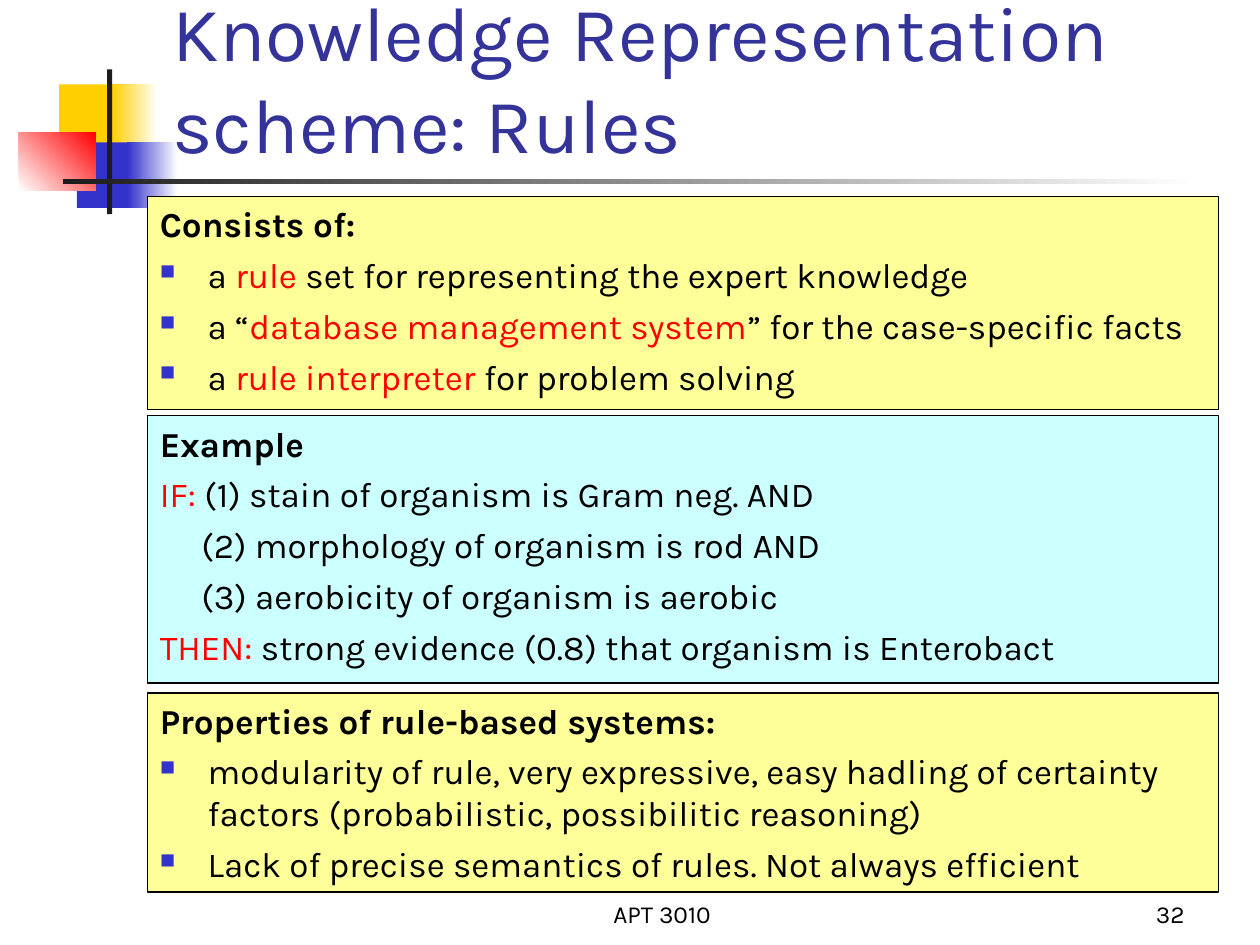
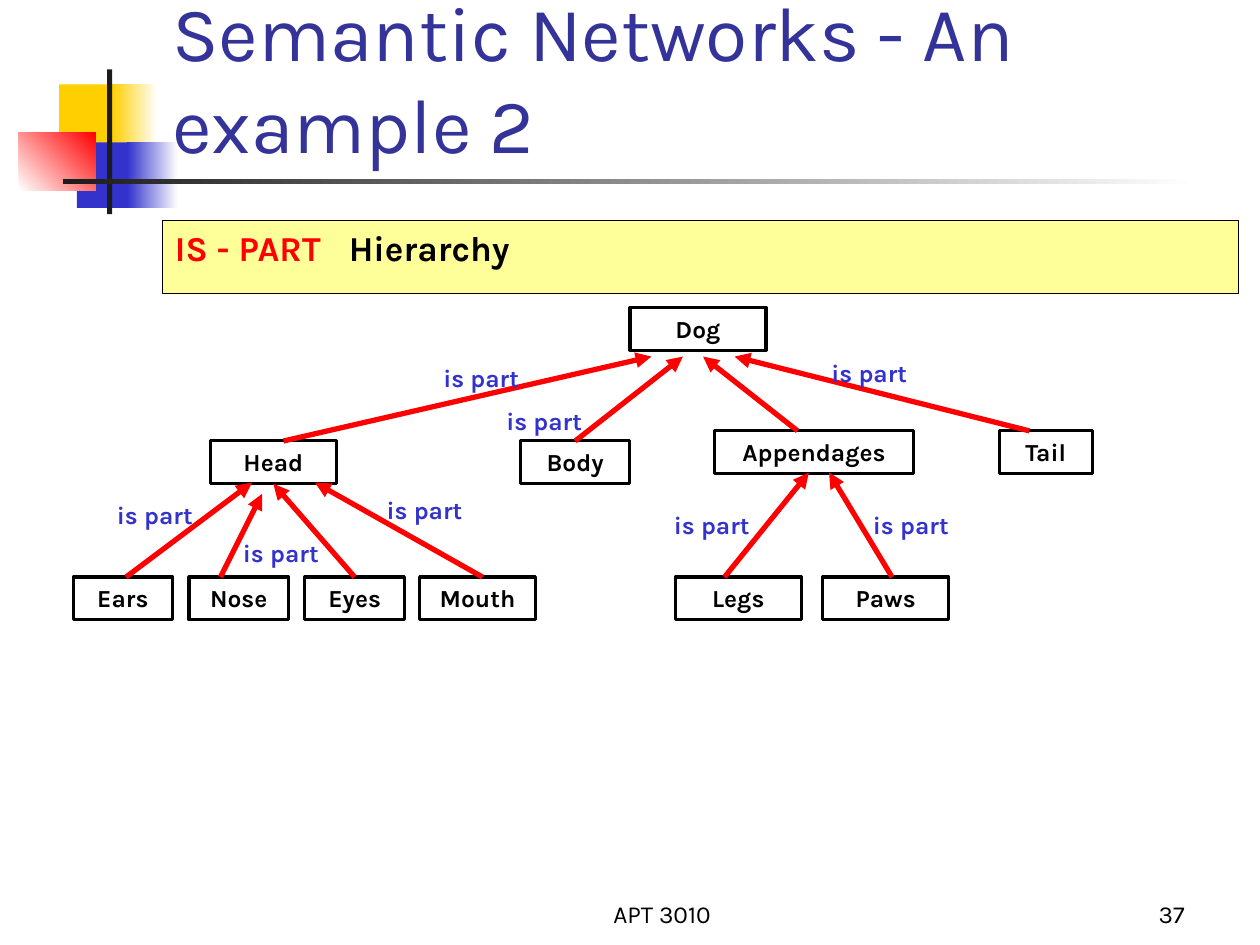
import lxml.etree
import pptx
import pptx.dml.color
import pptx.enum.shapes
import pptx.enum.text
import pptx.oxml.ns
import pptx.util

PX = 9144
FONT = "Karla"
COLORS = {
    "gold": "FFCF01",
    "blue": "3333CC",
    "red": "FF0000",
    "white": "FFFFFF",
    "ink": "1C1C1C",
    "black": "000000",
    "title": "333399",
    "yellow": "FFFF99",
    "cyan": "CCFFFF",
}
ALIGN = pptx.enum.text.PP_ALIGN
ANCHOR = pptx.enum.text.MSO_ANCHOR
RECTANGLE = pptx.enum.shapes.MSO_SHAPE.RECTANGLE
STRAIGHT = pptx.enum.shapes.MSO_CONNECTOR.STRAIGHT
TOP, BOTTOM = 0, 2

DECORATION = [
    ((47, 67, 48, 52), ["gold"], 0),
    ((89, 67, 36, 52), ["gold", "white"], 0),
    ((61, 113, 46, 52), ["blue"], 0),
    ((101, 113, 40, 52), ["blue", "white"], 0),
    ((15, 105, 61, 46), ["white", "red"], 45),
    ((85, 55, 4, 115), ["ink"], 0),
    ((50, 142, 900, 4), ["ink", "white"], 0),
]

RULE_PANELS = [
    (156, 169, "yellow", "Consists of:", [
        ("bullet", [("a ", "black"), ("rule", "red"),
                    (" set for representing the expert knowledge", "black")]),
        ("bullet", [("a “", "black"), ("database management system", "red"),
                    ("” for the case-specific facts", "black")]),
        ("bullet", [("a ", "black"), ("rule interpreter", "red"),
                    (" for problem solving", "black")]),
    ]),
    (330, 212, "cyan", "Example", [
        ("plain", [("IF:", "red"), (" (1) stain of organism is Gram neg. AND", "black")]),
        ("condition", [("(2) morphology of organism is rod AND", "black")]),
        ("condition", [("(3) aerobicity of organism is aerobic", "black")]),
        ("plain", [("THEN:", "red"),
                   (" strong evidence (0.8) that organism is Enterobact", "black")]),
    ]),
    (550, 158, "yellow", "Properties of rule-based systems:", [
        ("bullet", [("modularity of rule, very expressive, easy hadling of certainty "
                     "factors (probabilistic, possibilitic reasoning)", "black")]),
        ("bullet", [("Lack of precise semantics of rules. Not always efficient", "black")]),
    ]),
]

PARTS = {
    "Dog": (442, 0, 108),
    "Head": (109, 106, 100),
    "Body": (355, 106, 87),
    "Appendages": (509, 98, 158),
    "Tail": (735, 98, 74),
    "Ears": (0, 214, 79),
    "Nose": (92, 214, 79),
    "Eyes": (184, 214, 79),
    "Mouth": (275, 214, 92),
    "Legs": (478, 214, 100),
    "Paws": (595, 214, 100),
}
PART_HEIGHT = 34
PART_ARROWS = [
    ((42, 214), (142, 139)),
    ((117, 214), (150, 148)),
    ("Eyes", "Head"),
    ((325, 214), (192, 139)),
    ((167, 106), (459, 39)),
    ("Body", (484, 39)),
    ((575, 98), (500, 39)),
    ((759, 98), (525, 39)),
    ((517, 214), (584, 131)),
    ((650, 214), (600, 131)),
]
RELATION_SPOTS = [(284, 39), (592, 35), (25, 148), (125, 178),
                  (239, 144), (334, 73), (625, 156), (467, 156)]


def rgb(color):
    return pptx.dml.color.RGBColor.from_string(COLORS[color])


def emu(box):
    return [length * PX for length in box]


def add_rectangle(slide, box, fill=None, outline=None):
    rectangle = slide.shapes.add_shape(RECTANGLE, *emu(box))
    rectangle.shadow.inherit = False
    if fill:
        rectangle.fill.solid()
        rectangle.fill.fore_color.rgb = rgb(fill)
    else:
        rectangle.fill.background()
    if outline:
        rectangle.line.color.rgb = rgb("black")
        rectangle.line.width = pptx.util.Pt(outline)
    else:
        rectangle.line.fill.background()
    return rectangle


def prepare_frame(shape, anchor):
    frame = shape.text_frame
    frame.word_wrap = True
    frame.vertical_anchor = anchor
    return frame


def write(paragraph, runs, size, bold=False, align=ALIGN.LEFT):
    paragraph.alignment = align
    paragraph.font.name = FONT
    paragraph.font.size = pptx.util.Pt(size)
    paragraph.font.bold = bold
    if len(runs) == 1:
        paragraph.font.color.rgb = rgb(runs[0][1])
    for text, color in runs:
        run = paragraph.add_run()
        run.text = text
        if len(runs) > 1:
            run.font.color.rgb = rgb(color)


def add_label(slide, box, text, size, color, bold=False, align=ALIGN.LEFT, anchor=ANCHOR.TOP):
    frame = prepare_frame(slide.shapes.add_textbox(*emu(box)), anchor)
    write(frame.paragraphs[0], [(text, color)], size, bold, align)


def add_property(properties, tag, **attributes):
    return lxml.etree.SubElement(properties, pptx.oxml.ns.qn(tag), **attributes)


def set_indent(paragraph, margin, first_line):
    properties = paragraph._p.get_or_add_pPr()
    properties.set("marL", str(margin * PX))
    properties.set("indent", str(first_line * PX))
    paragraph.space_before = pptx.util.Pt(5)
    return properties


def set_layout(paragraph, kind):
    if kind == "condition":
        set_indent(paragraph, 33, 0)
        return
    properties = set_indent(paragraph, 38, -38)
    if kind == "bullet":
        bullet_color = add_property(properties, "a:buClr")
        add_property(bullet_color, "a:srgbClr", val=COLORS["blue"])
        add_property(properties, "a:buSzPct", val="60000")
        add_property(properties, "a:buChar", char="■")
    elif kind == "tabbed":
        stops = add_property(properties, "a:tabLst")
        add_property(stops, "a:tab", pos=str(131 * PX), algn="l")


def add_panel(slide, box, fill, lines):
    frame = prepare_frame(add_rectangle(slide, box, fill, 0.75), ANCHOR.TOP)
    for index, (kind, runs, bold) in enumerate(lines):
        paragraph = frame.add_paragraph() if index else frame.paragraphs[0]
        set_layout(paragraph, kind)
        write(paragraph, runs, 20, bold)


def add_decoration(slide):
    for box, colors, angle in DECORATION:
        block = add_rectangle(slide, box, colors[0])
        if len(colors) > 1:
            block.fill.gradient()
            block.fill.gradient_angle = angle
            for stop, color in zip(block.fill.gradient_stops, colors):
                stop.color.rgb = rgb(color)


def add_base_slide(deck, title, number):
    slide = deck.slides.add_slide(deck.slide_layouts[6])
    add_decoration(slide)
    add_label(slide, (367, 692, 317, 50), "APT 3010", 14, "black",
              align=ALIGN.CENTER, anchor=ANCHOR.BOTTOM)
    add_label(slide, (742, 692, 208, 50), number, 14, "black",
              align=ALIGN.RIGHT, anchor=ANCHOR.BOTTOM)
    add_label(slide, (127, 14, 852, 125), title, 44, "title", anchor=ANCHOR.BOTTOM)
    return slide


def add_part_arrow(slide, origin, nodes, start, end):
    def locate(point):
        if point in nodes:
            return 0, 0
        return emu((origin[0] + point[0], origin[1] + point[1]))

    arrow = slide.shapes.add_connector(STRAIGHT, *locate(start), *locate(end))
    if start in nodes:
        arrow.begin_connect(nodes[start], TOP)
    if end in nodes:
        arrow.end_connect(nodes[end], BOTTOM)
    arrow.line.color.rgb = rgb("red")
    arrow.line.width = pptx.util.Pt(3)
    add_property(arrow.line._get_or_add_ln(), "a:tailEnd", type="triangle")
    add_property(arrow._element.spPr, "a:effectLst")


def add_part_tree(slide, origin):
    left, top = origin
    nodes = {}
    for part, (x, y, width) in PARTS.items():
        nodes[part] = add_rectangle(slide, (left + x, top + y, width, PART_HEIGHT), outline=1.75)
        frame = prepare_frame(nodes[part], ANCHOR.TOP)
        write(frame.paragraphs[0], [(part, "black")], 14, True, ALIGN.CENTER)
    for start, end in PART_ARROWS:
        add_part_arrow(slide, origin, nodes, start, end)
    for x, y in RELATION_SPOTS:
        add_label(slide, (left + x, top + y, 83, PART_HEIGHT), "is part", 14, "blue", True)


def build_rules_slide(deck):
    slide = add_base_slide(deck, "Knowledge Representation scheme: Rules", "32")
    for top, height, fill, heading, details in RULE_PANELS:
        lines = [("plain", [(heading, "black")], True)]
        lines += [(kind, runs, False) for kind, runs in details]
        add_panel(slide, (117, top, 850, height), fill, lines)


def build_network_slide(deck):
    slide = add_base_slide(deck, "Semantic Networks - An example 2", "37")
    heading = [("IS - PART", "red"), ("\tHierarchy", "black")]
    add_panel(slide, (129, 175, 854, 58), "yellow", [("tabbed", heading, True)])
    add_part_tree(slide, (58, 244))


def main():
    deck = pptx.Presentation()
    deck.slide_width, deck.slide_height = emu((1000, 750))
    build_rules_slide(deck)
    build_network_slide(deck)
    deck.save("out.pptx")


if __name__ == "__main__":
    main()
